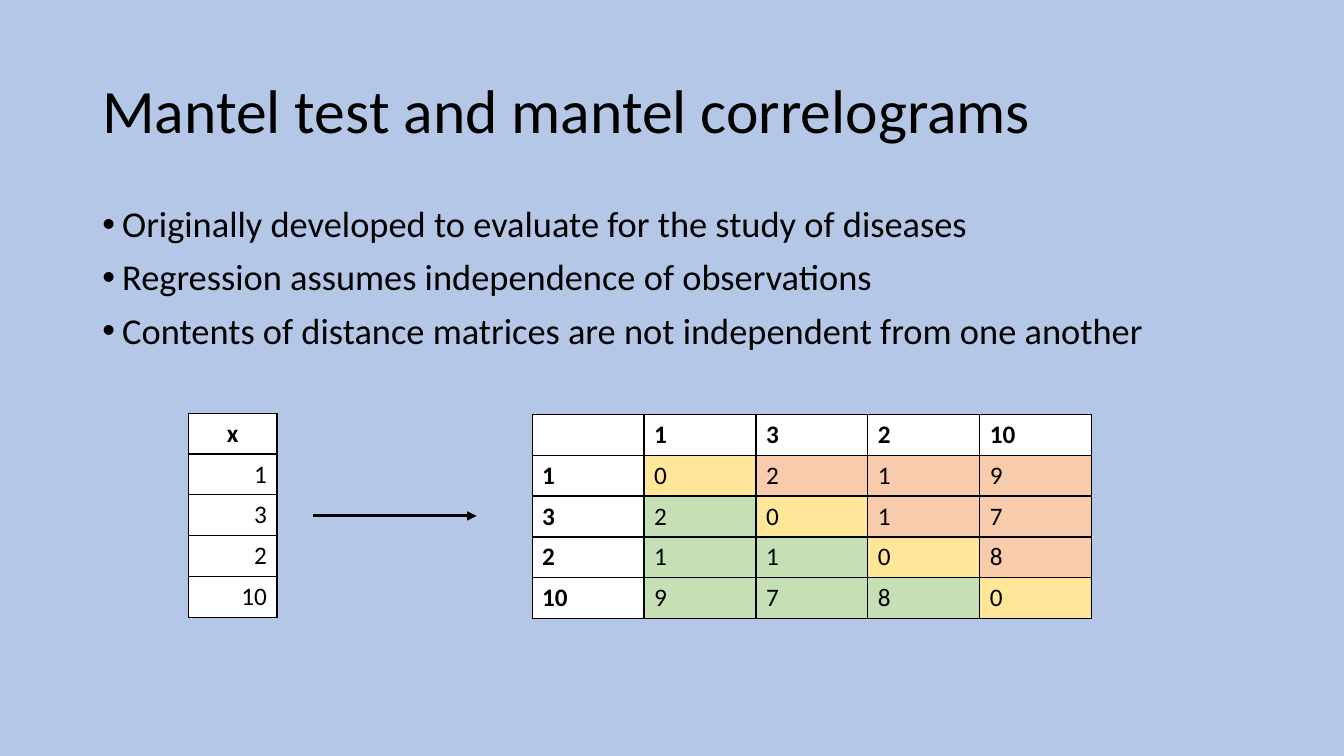
import dataclasses

import lxml.etree
import pptx
import pptx.dml.color
import pptx.enum.shapes
import pptx.enum.text
import pptx.oxml
import pptx.oxml.ns
import pptx.shapes.autoshape
import pptx.slide
import pptx.table
import pptx.text.text
import pptx.util

Cm = pptx.util.Cm
Pt = pptx.util.Pt
qn = pptx.oxml.ns.qn
ALIGN = pptx.enum.text.PP_ALIGN
ANCHOR = pptx.enum.text.MSO_ANCHOR

COLORS = {
    "background": "B4C7E7",
    "ink": "000000",
    "header": "FFFFFF",
    "diagonal": "FFE699",
    "upper": "F8CBAD",
    "lower": "C5E0B4",
}
FONT = "Calibri"
OBSERVATIONS = [1, 3, 2, 10]
BULLETS = [
    "Originally developed to evaluate for the study of diseases",
    "Regression assumes independence of observations",
    "Contents of distance matrices are not independent from one another",
]
ROW_HEIGHT = 1.03


@dataclasses.dataclass
class CellSpec:
    text: str
    fill: str = "header"
    bold: bool = False
    align: ALIGN = ALIGN.LEFT


@dataclasses.dataclass
class Grid:
    left: float
    top: float
    col_width: float
    rows: list[list[CellSpec]]


def rgb(name: str) -> pptx.dml.color.RGBColor:
    return pptx.dml.color.RGBColor.from_string(COLORS[name])


def write(p: pptx.text.text._Paragraph, text: str, *, size: float = 18,
          bold: bool = False, align: ALIGN = ALIGN.LEFT, spacing: float = 1.0,
          before: float = 0, bullet: bool = False) -> None:
    p.alignment = align
    p.line_spacing = spacing
    p.space_before = Pt(before)
    if bullet:
        pPr = p._p.get_or_add_pPr()
        pPr.set("marL", str(Cm(0.5)))
        pPr.set("indent", str(-Cm(0.5)))
        lxml.etree.SubElement(pPr, qn("a:buFont")).set("typeface", "Arial")
        lxml.etree.SubElement(pPr, qn("a:buChar")).set("char", "•")
    r = p.add_run()
    r.text = text
    r.font.name = FONT
    r.font.size = Pt(size)
    r.font.bold = bold
    r.font.color.rgb = rgb("ink")


def add_text(slide: pptx.slide.Slide, top: float, height: float, lines: list[str],
             anchor: ANCHOR, **style: object) -> None:
    sp = slide.shapes.add_textbox(Cm(2.33), Cm(top), Cm(29.21), Cm(height))
    tf = sp.text_frame
    tf.word_wrap = True
    tf.vertical_anchor = anchor
    for i, line in enumerate(lines):
        p = tf.add_paragraph() if i else tf.paragraphs[0]
        write(p, line, spacing=0.9, **style)


def add_borders(cell: pptx.table._Cell) -> None:
    tcPr = cell._tc.get_or_add_tcPr()
    for side in ("lnL", "lnR", "lnT", "lnB"):
        ln = lxml.etree.SubElement(tcPr, qn(f"a:{side}"), w=str(Pt(1)))
        fill = lxml.etree.SubElement(ln, qn("a:solidFill"))
        lxml.etree.SubElement(fill, qn("a:srgbClr"), val=COLORS["ink"])


def add_grid(slide: pptx.slide.Slide, grid: Grid) -> None:
    n_rows, n_cols = len(grid.rows), len(grid.rows[0])
    table = slide.shapes.add_table(
        n_rows, n_cols, Cm(grid.left), Cm(grid.top),
        Cm(grid.col_width * n_cols), Cm(ROW_HEIGHT * n_rows)).table
    table.first_row = False
    table.horz_banding = False
    for col in table.columns:
        col.width = Cm(grid.col_width)
    for i, row in enumerate(grid.rows):
        table.rows[i].height = Cm(ROW_HEIGHT)
        for j, spec in enumerate(row):
            cell = table.cell(i, j)
            add_borders(cell)
            cell.fill.solid()
            cell.fill.fore_color.rgb = rgb(spec.fill)
            if spec.text:
                write(cell.text_frame.paragraphs[0], spec.text,
                      bold=spec.bold, align=spec.align)


def add_arrow(slide: pptx.slide.Slide, x1: float, x2: float, y: float) -> None:
    line = slide.shapes.add_connector(
        pptx.enum.shapes.MSO_CONNECTOR.STRAIGHT, Cm(x1), Cm(y), Cm(x2), Cm(y))
    line.line.color.rgb = rgb("ink")
    line.line.width = Pt(2.25)
    lxml.etree.SubElement(line.line._get_or_add_ln(), qn("a:tailEnd"), type="triangle")
    lxml.etree.SubElement(line._element.spPr, qn("a:effectLst"))


def vector_rows(values: list[int]) -> list[list[CellSpec]]:
    header = [CellSpec("x", bold=True, align=ALIGN.CENTER)]
    return [header] + [[CellSpec(str(v), align=ALIGN.RIGHT)] for v in values]


def distance_rows(values: list[int]) -> list[list[CellSpec]]:
    rows = [[CellSpec("")] + [CellSpec(str(v), bold=True) for v in values]]
    for i, a in enumerate(values):
        row = [CellSpec(str(a), bold=True)]
        for j, b in enumerate(values):
            fill = "diagonal" if i == j else "upper" if j > i else "lower"
            row.append(CellSpec(str(abs(a - b)), fill))
        rows.append(row)
    return rows


def main() -> None:
    prs = pptx.Presentation()
    prs.slide_width, prs.slide_height = Cm(33.87), Cm(19.05)
    s = prs.slides.add_slide(prs.slide_layouts[6])
    s.background.fill.solid()
    s.background.fill.fore_color.rgb = rgb("background")

    add_text(s, 1.01, 3.68, ["Mantel test and mantel correlograms"],
             ANCHOR.MIDDLE, size=44)
    add_text(s, 5.07, 12.09, BULLETS, ANCHOR.TOP, size=26, before=10, bullet=True)
    for grid in (Grid(4.75, 10.41, 2.23, vector_rows(OBSERVATIONS)),
                 Grid(13.41, 10.44, 2.82, distance_rows(OBSERVATIONS))):
        add_grid(s, grid)
    add_arrow(s, 7.9, 12.01, 13)
    prs.save("out.pptx")


if __name__ == "__main__":
    main()
